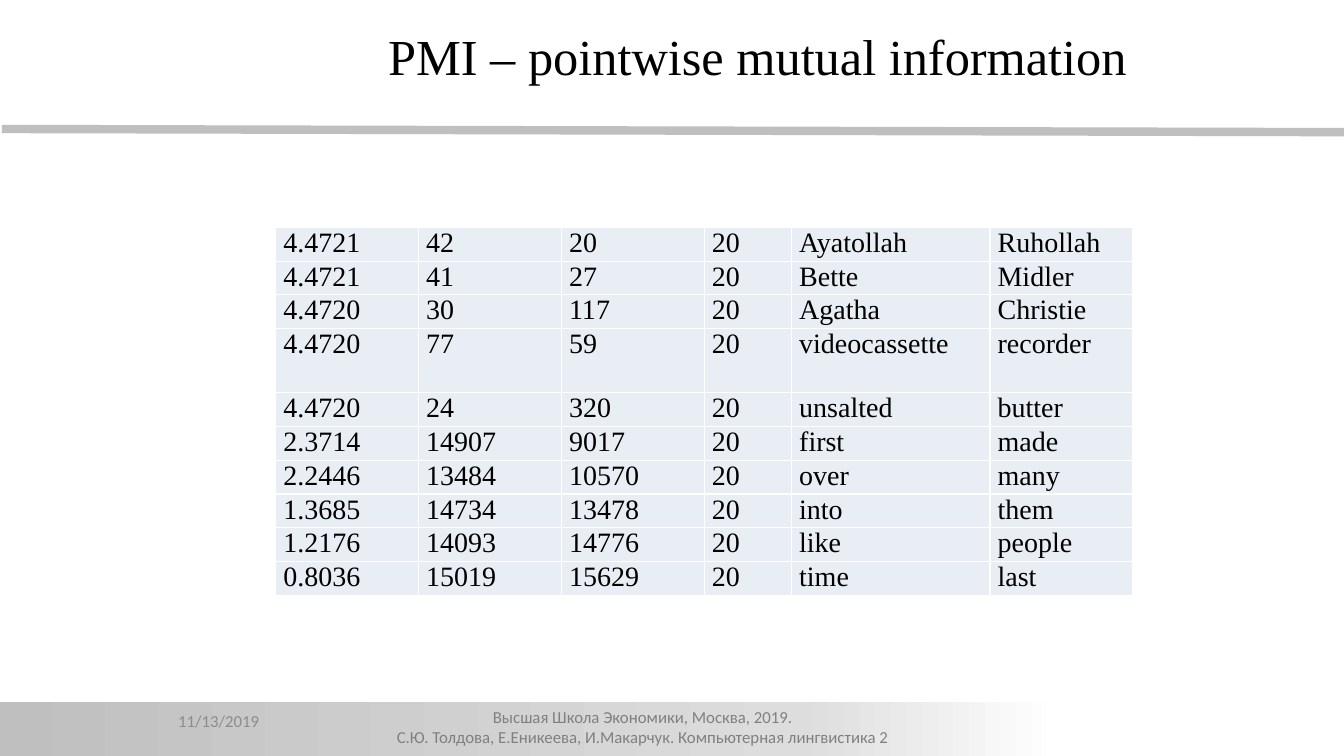
from copy import deepcopy
from dataclasses import dataclass

from lxml.etree import SubElement
from pptx import Presentation
from pptx.dml.color import RGBColor
from pptx.enum.shapes import MSO_CONNECTOR as Connector, MSO_SHAPE as Shape
from pptx.enum.text import MSO_ANCHOR as Anchor, PP_ALIGN as Align
from pptx.oxml.ns import qn
from pptx.util import Cm, Pt


@dataclass(frozen=True)
class Theme:
    serif: str = "Times New Roman"
    sans: str = "Calibri"
    ink: str = "000000"
    footer_ink: str = "808080"
    date_ink: str = "8C8C8C"
    rule: str = "BFBFBF"
    cell: str = "E9EDF4"
    border: str = "FFFFFF"
    bar: tuple = ((0, "BFBFBF"), (0.75, "DDDDDD"), (1, "FFFFFF"))
    title_size: int = 36
    table_size: int = 20
    footer_size: int = 12


class SlideBuilder:
    def __init__(self, slide, theme):
        self.s = slide
        self.theme = theme

    def run(self, p, text, size, font, color):
        r = p.add_run()
        r.text = text
        r.font.size = Pt(size)
        r.font.name = font
        r.font.color.rgb = RGBColor.from_string(color)

    def text(self, box, lines, size, font, color, align=Align.LEFT, anchor=Anchor.TOP):
        tf = self.s.shapes.add_textbox(*map(Cm, box)).text_frame
        tf.word_wrap = True
        tf.vertical_anchor = anchor
        for i, line in enumerate(lines):
            p = tf.add_paragraph() if i else tf.paragraphs[0]
            p.alignment = align
            self.run(p, line, size, font, color)

    def line(self, ends, width):
        ln = self.s.shapes.add_connector(Connector.STRAIGHT, *map(Cm, ends))
        ln.line.color.rgb = RGBColor.from_string(self.theme.rule)
        ln.line.width = Pt(width)
        SubElement(ln._element.spPr, qn("a:effectLst"))

    def gradient_bar(self, box, stops):
        sp = self.s.shapes.add_shape(Shape.RECTANGLE, *map(Cm, box))
        sp.shadow.inherit = False
        sp.line.fill.background()
        sp.fill.gradient()
        sp.fill.gradient_angle = 0
        stop_list = sp._element.spPr.find(".//" + qn("a:gsLst"))
        while len(stop_list) < len(stops):
            stop_list.append(deepcopy(stop_list[-1]))
        for stop, (position, color) in zip(sp.fill.gradient_stops, stops):
            stop.position = position
            stop.color.rgb = RGBColor.from_string(color)

    def borders(self, cell, width):
        tc_pr = cell._tc.get_or_add_tcPr()
        for side in ("lnL", "lnR", "lnT", "lnB"):
            ln = SubElement(tc_pr, qn("a:" + side), w=str(Pt(width)))
            fill = SubElement(ln, qn("a:solidFill"))
            SubElement(fill, qn("a:srgbClr"), val=self.theme.border)

    def table(self, left, top, widths, heights, rows):
        t = self.theme
        frame = self.s.shapes.add_table(
            len(rows), len(widths), Cm(left), Cm(top), Cm(sum(widths)), Cm(sum(heights)))
        table = frame.table
        table.first_row = table.horz_banding = False
        for column, width in zip(table.columns, widths):
            column.width = Cm(width)
        for row, height, values in zip(table.rows, heights, rows):
            row.height = Cm(height)
            for cell, value in zip(row.cells, values):
                cell.margin_left = cell.margin_right = Cm(0.19)
                cell.margin_top = cell.margin_bottom = 0
                self.borders(cell, 1)
                cell.fill.solid()
                cell.fill.fore_color.rgb = RGBColor.from_string(t.cell)
                self.run(cell.text_frame.paragraphs[0], value, t.table_size, t.serif, t.ink)


BIGRAMS = [
    ("4.4721", "42", "20", "20", "Ayatollah", "Ruhollah"),
    ("4.4721", "41", "27", "20", "Bette", "Midler"),
    ("4.4720", "30", "117", "20", "Agatha", "Christie"),
    ("4.4720", "77", "59", "20", "videocassette", "recorder"),
    ("4.4720", "24", "320", "20", "unsalted", "butter"),
    ("2.3714", "14907", "9017", "20", "first", "made"),
    ("2.2446", "13484", "10570", "20", "over", "many"),
    ("1.3685", "14734", "13478", "20", "into", "them"),
    ("1.2176", "14093", "14776", "20", "like", "people"),
    ("0.8036", "15019", "15629", "20", "time", "last"),
]
FOOTER = [
    "Высшая Школа Экономики, Москва, 2019.",
    "С.Ю. Толдова, Е.Еникеева, И.Макарчук. Компьютерная лингвистика 2",
]


def main():
    prs = Presentation()
    prs.slide_width, prs.slide_height = Cm(33.87), Cm(19.05)
    t = Theme()
    b = SlideBuilder(prs.slides.add_slide(prs.slide_layouts[6]), t)

    b.line((0.05, 3.25, 33.91, 3.33), 6)
    b.gradient_bar((-0.03, 17.7, 26.82, 1.45), t.bar)
    b.text((6.45, 17.68, 19.5, 1.14), FOOTER, t.footer_size, t.sans, t.footer_ink,
           align=Align.CENTER)
    row_heights = [1.62 if "videocassette" in row else 0.85 for row in BIGRAMS]
    b.table(6.95, 5.73, [3.6, 3.6, 3.6, 2.2, 5, 3.6], row_heights, BIGRAMS)
    b.text((4.24, 17.65, 5.92, 1.02), ["11/13/2019"], t.footer_size, t.sans, t.date_ink,
           anchor=Anchor.MIDDLE)
    b.text((9.53, 0.51, 19.6, 1.8), ["PMI – pointwise mutual information"],
           t.title_size, t.serif, t.ink)

    prs.save("out.pptx")


if __name__ == "__main__":
    main()
